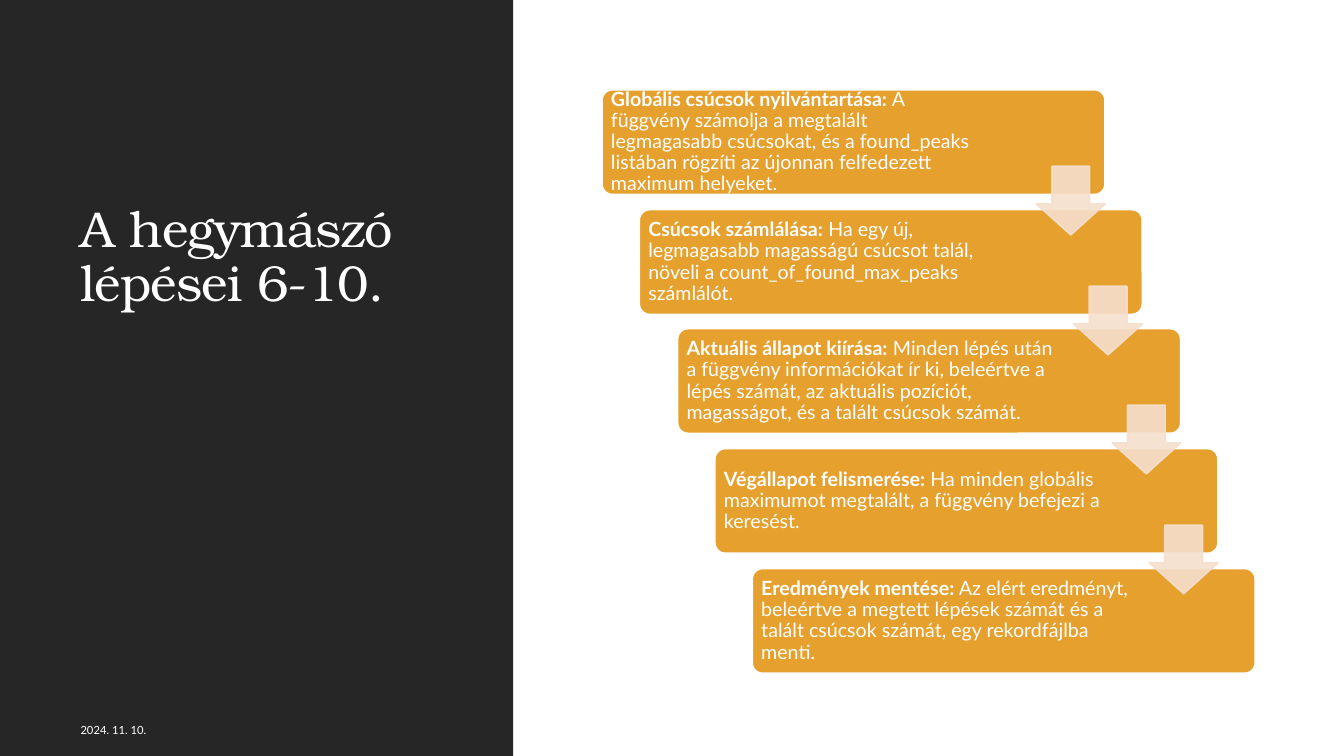
from dataclasses import dataclass
from lxml.etree import SubElement
from pptx import Presentation
from pptx.dml.color import RGBColor
from pptx.enum.shapes import MSO_SHAPE
from pptx.enum.text import MSO_ANCHOR
from pptx.oxml.ns import qn
from pptx.util import Pt


@dataclass(frozen=True)
class Theme:
    dark: str = "262626"
    gold: str = "E6A02E"
    sand: str = "F5DFCD"
    white: str = "FFFFFF"
    serif: str = "TeX Gyre Bonum"
    sans: str = "Lato"
    head: int = 36
    body: int = 14
    small: int = 8


THEME = Theme()
SCALE = 9144  # EMU in one px, 100 px to the inch

STEPS = [
    ("Globális csúcsok nyilvántartása:",
     " A függvény számolja a megtalált legmagasabb csúcsokat, és a "
     "found_peaks listában rögzíti az újonnan felfedezett maximum helyeket."),
    ("Csúcsok számlálása:",
     " Ha egy új, legmagasabb magasságú csúcsot talál, növeli a "
     "count_of_found_max_peaks számlálót."),
    ("Aktuális állapot kiírása:",
     " Minden lépés után a függvény információkat ír ki, beleértve a lépés "
     "számát, az aktuális pozíciót, magasságot, és a talált csúcsok számát."),
    ("Végállapot felismerése:",
     " Ha minden globális maximumot megtalált, a függvény befejezi a "
     "keresést."),
    ("Eredmények mentése:",
     " Az elért eredményt, beleértve a megtett lépések számát és a talált "
     "csúcsok számát, egy rekordfájlba menti."),
]


def px(*sizes):
    return [size * SCALE for size in sizes]


def add_block(slide, kind, area, fill, line=None, adjust=()):
    block = slide.shapes.add_shape(kind, *px(*area))
    block.shadow.inherit = False
    for i, value in enumerate(adjust):
        block.adjustments[i] = value
    block.fill.solid()
    block.fill.fore_color.rgb = RGBColor.from_string(fill)
    if line:
        block.line.color.rgb = RGBColor.from_string(line)
        block.line.width = Pt(1.25)
    else:
        block.line.fill.background()
    return block


def add_text(slide, area, parts, size, face, anchor, inset=None):
    """Add one paragraph made of (text, bold) parts."""
    box = slide.shapes.add_textbox(*px(*area))
    frame = box.text_frame
    frame.word_wrap = True
    frame.vertical_anchor = anchor
    if inset is not None:
        frame.margin_left = frame.margin_right = inset * SCALE
        frame.margin_top = frame.margin_bottom = inset * SCALE
    para = frame.paragraphs[0]
    para.line_spacing = 0.9
    para.font.size = Pt(size)
    para.font.name = face
    para.font.color.rgb = RGBColor.from_string(THEME.white)
    for text, bold in parts:
        run = para.add_run()
        run.text = text
        if bold:
            run.font.bold = True
    return para


def add_step(slide, left, top, width, parts):
    add_block(slide, MSO_SHAPE.ROUNDED_RECTANGLE, (left, top, 499, 104),
              THEME.gold, THEME.white, [0.1])
    add_text(slide, (left + 3, top + 3, width, 98), parts, THEME.body,
             THEME.sans, MSO_ANCHOR.MIDDLE, 6)


def add_arrow(slide, left, top):
    arrow = add_block(slide, MSO_SHAPE.DOWN_ARROW, (left, top, 68, 68),
                      THEME.sand, THEME.sand, [0.55, 0.45])
    # Let the steps show through fill and line
    for color in arrow.element.spPr.iter(qn("a:srgbClr")):
        SubElement(color, qn("a:alpha"), val="90000")


def stair(left, top, i):
    """Place the i-th item of a descending row."""
    return round(left + 37.3 * i), round(top + 118.75 * i)


def main():
    deck = Presentation()
    deck.slide_width, deck.slide_height = px(1333, 750)
    slide = deck.slides.add_slide(deck.slide_layouts[6])

    # Dark panel with title and date
    add_block(slide, MSO_SHAPE.RECTANGLE, (0, 0, 509, 750), THEME.dark)
    title = add_text(slide, (70, 86, 385, 229),
                     [("A hegymászó lépései 6-10.", False)],
                     THEME.head, THEME.serif, MSO_ANCHOR.BOTTOM)
    title.runs[0].font._element.set("spc", "-50")
    add_text(slide, (70, 705, 385, 40), [("2024. 11. 10.", False)],
             THEME.small, THEME.sans, MSO_ANCHOR.MIDDLE)

    # Steps
    for i, (name, text) in enumerate(STEPS):
        width = 388 if i else 375
        add_step(slide, *stair(597, 89, i), width,
                 [(name, True), (text, False)])

    # Arrows from each step to the next
    for i in range(len(STEPS) - 1):
        add_arrow(slide, *stair(1028, 165, i))

    deck.save("out.pptx")


if __name__ == "__main__":
    main()
